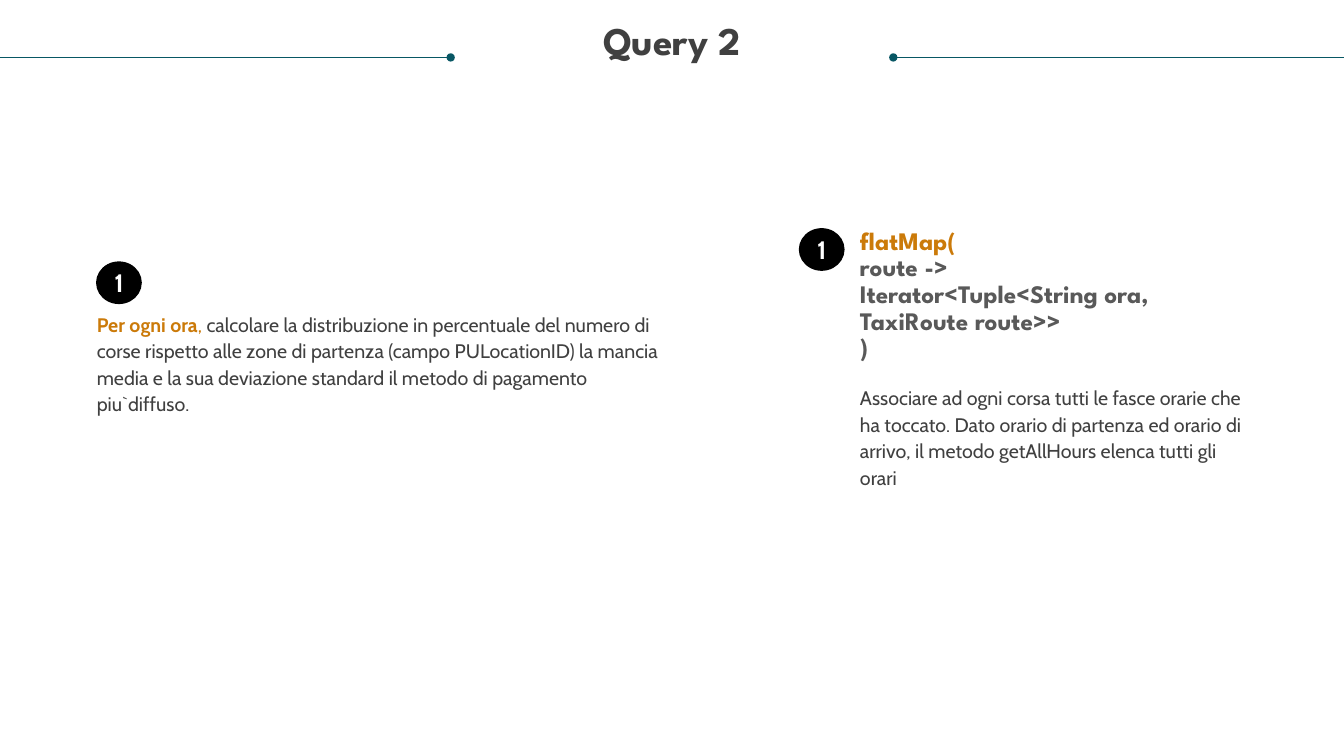
from lxml.etree import SubElement
from pptx import Presentation
from pptx.dml.color import RGBColor
from pptx.enum.shapes import MSO_CONNECTOR as CONN, MSO_SHAPE as SHAPE
from pptx.enum.text import MSO_ANCHOR as ANCHOR, MSO_AUTO_SIZE as AUTO, PP_ALIGN as ALIGN
from pptx.oxml.ns import qn
from pptx.util import Inches, Pt

TEAL = RGBColor(0x08, 0x57, 0x64)
ORANGE = RGBColor(0xCB, 0x7A, 0x09)
DARK = RGBColor(0x40, 0x40, 0x40)
GREY = RGBColor(0x59, 0x59, 0x59)
BLACK = RGBColor(0, 0, 0)
WHITE = RGBColor(255, 255, 255)

HEAD_FONT, BODY_FONT = "League Spartan", "Cabin"
W, H = 13.33, 7.5
LEFT, RIGHT = 0.96, 8.53
RIGHT_W = 3.86
RULE_Y, RULE_W = 0.57, 4.47
BADGE_W, BADGE_H = 0.44, 0.41

TITLE = [[("Query 2", DARK, True)]]
TASK = [[
    ("Per ogni ora", ORANGE, True),
    (", ", ORANGE, False),
    ("calcolare la distribuzione in percentuale del numero di corse rispetto alle "
     "zone di partenza (campo PULocationID) la mancia media e la sua deviazione "
     "standard il metodo di pagamento piu`diffuso.", DARK, False),
]]
CODE = [
    [("flatMap(", ORANGE, True)],
    [("route ->", GREY, True)],
    [("Iterator<Tuple<String ora, TaxiRoute route>>", GREY, True)],
    [(")", GREY, True)],
]
STEP = [[("Associare ad ogni corsa tutti le fasce orarie che ha toccato. Dato orario di "
          "partenza ed orario di arrivo, il metodo getAllHours elenca tutti gli orari",
          DARK, False)]]

BLOCKS = [
    (LEFT, 3.07, 5.82, 1.04, TASK, BODY_FONT, 14),
    (RIGHT, 2.27, RIGHT_W, 1.6, CODE, HEAD_FONT, 18),
    (RIGHT, 3.8, RIGHT_W, 1.04, STEP, BODY_FONT, 14),
]
BADGES = [(LEFT, 2.6, "1"), (RIGHT - 0.6, 2.27, "1")]
RULES = [(0, RULE_W), (W, W - RULE_W)]


def write(tf, paragraphs, font, size, spacing=None, align=ALIGN.LEFT):
    for i, runs in enumerate(paragraphs):
        p = tf.add_paragraph() if i else tf.paragraphs[0]
        p.alignment = align
        if spacing:
            p.line_spacing = spacing
        for text, color, bold in runs:
            r = p.add_run()
            r.text = text
            r.font.name, r.font.size, r.font.bold = font, Pt(size), bold
            r.font.color.rgb = color


def frame(sp, anchor=ANCHOR.TOP):
    tf = sp.text_frame
    tf.word_wrap, tf.auto_size, tf.vertical_anchor = True, AUTO.NONE, anchor
    tf.margin_left = tf.margin_right = tf.margin_top = tf.margin_bottom = 0
    return tf


def add_rule(edge, inner):
    line = s.shapes.add_connector(CONN.STRAIGHT, Inches(edge), Inches(RULE_Y),
                                  Inches(inner), Inches(RULE_Y))
    line.line.color.rgb, line.line.width = TEAL, Pt(0.5)
    SubElement(line.line._get_or_add_ln(), qn("a:tailEnd"), type="oval")
    SubElement(line._element.spPr, qn("a:effectLst"))


def add_badge(x, y, number):
    sp = s.shapes.add_shape(SHAPE.OVAL, Inches(x), Inches(y),
                            Inches(BADGE_W), Inches(BADGE_H))
    sp.shadow.inherit = False
    sp.fill.solid()
    sp.fill.fore_color.rgb = sp.line.color.rgb = BLACK
    sp.line.width = Pt(1)
    write(frame(sp, ANCHOR.MIDDLE), [[(number, WHITE, True)]], BODY_FONT, 18,
          align=ALIGN.CENTER)


prs = Presentation()
prs.slide_width, prs.slide_height = Inches(W), Inches(H)
s = prs.slides.add_slide(prs.slide_layouts[5])

title = s.shapes.title
title.left, title.top, title.width, title.height = map(Inches, (0.25, 0.21, W - 0.5, 0.42))
write(frame(title), TITLE, HEAD_FONT, 28, 0.9, ALIGN.CENTER)

for edge, inner in RULES:
    add_rule(edge, inner)
for x, y, w, h, paragraphs, font, size in BLOCKS:
    box = s.shapes.add_textbox(Inches(x), Inches(y), Inches(w), Inches(h))
    write(frame(box), paragraphs, font, size, Pt(19))
for x, y, number in BADGES:
    add_badge(x, y, number)

prs.save("out.pptx")
